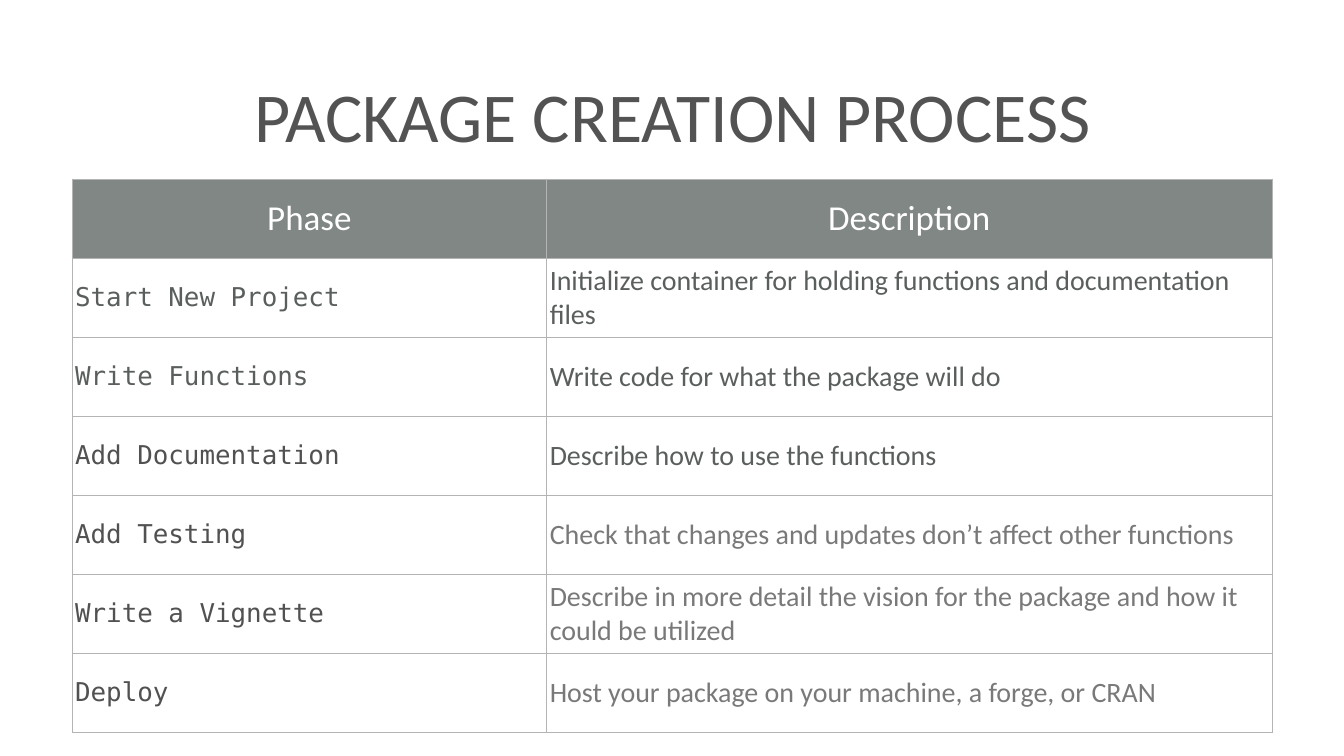
import pptx
import pptx.dml.color
import pptx.enum.text
import pptx.oxml
import pptx.oxml.ns
import pptx.util
from pptx.util import Inches

RGBColor = pptx.dml.color.RGBColor
TITLE_GRAY = RGBColor(0x53, 0x53, 0x53)
HEADER_GRAY = RGBColor(0x80, 0x87, 0x85)
WHITE = RGBColor(0xFF, 0xFF, 0xFF)
SLATE = RGBColor(0x5A, 0x5F, 0x5E)
DARK_GRAY = RGBColor(0x51, 0x51, 0x51)
MID_GRAY = RGBColor(0x79, 0x79, 0x79)
BORDER_GRAY = RGBColor(0xB4, 0xB4, 0xB4)
SANS = "Calibri"
MONO = "DejaVu Sans Mono"
MARGIN = Inches(0.06)
LEFT = pptx.enum.text.PP_ALIGN.LEFT
CENTER = pptx.enum.text.PP_ALIGN.CENTER
MIDDLE = pptx.enum.text.MSO_ANCHOR.MIDDLE

HEADINGS = ("Phase", "Description")
PHASES = [
    ("Start New Project", SLATE,
     "Initialize container for holding functions and documentation files", SLATE),
    ("Write Functions", SLATE, "Write code for what the package will do", SLATE),
    ("Add Documentation", DARK_GRAY, "Describe how to use the functions", SLATE),
    ("Add Testing", DARK_GRAY,
     "Check that changes and updates don’t affect other functions", MID_GRAY),
    ("Write a Vignette", DARK_GRAY,
     "Describe in more detail the vision for the package and how it could be utilized",
     MID_GRAY),
    ("Deploy", DARK_GRAY,
     "Host your package on your machine, a forge, or CRAN", MID_GRAY),
]


def format_paragraph(paragraph, size, name, color, alignment):
    """Align a paragraph and format its runs."""
    paragraph.alignment = alignment
    for run in paragraph.runs:
        run.font.size = pptx.util.Pt(size)
        run.font.name = name
        run.font.bold = False
        run.font.color.rgb = color


def set_margins(holder):
    """Give a cell or text frame the same small margin on every side."""
    holder.margin_left = holder.margin_right = MARGIN
    holder.margin_top = holder.margin_bottom = MARGIN
    holder.vertical_anchor = MIDDLE


def add_borders(cell):
    """Draw a thin line on each side of a cell."""
    properties = cell._tc.get_or_add_tcPr()
    for side in ("L", "R", "T", "B"):
        properties.append(pptx.oxml.parse_xml(
            f'<a:ln{side} {pptx.oxml.ns.nsdecls("a")} w="12700"><a:solidFill>'
            f'<a:srgbClr val="{BORDER_GRAY}"/></a:solidFill></a:ln{side}>'))


def fill_cell(cell, text, size, name, color, alignment=LEFT, background=None):
    """Write and format one table cell."""
    set_margins(cell)
    add_borders(cell)
    if background is None:
        cell.fill.background()
    else:
        cell.fill.solid()
        cell.fill.fore_color.rgb = background
    cell.text_frame.text = text
    format_paragraph(cell.text_frame.paragraphs[0], size, name, color, alignment)


def place_title(slide, left, top, width, height):
    """Place and format the slide title in the given box."""
    title = slide.shapes.title
    title.left, title.top, title.width, title.height = left, top, width, height
    frame = title.text_frame
    frame.text = "PACKAGE CREATION PROCESS"
    frame.word_wrap = True
    frame.auto_size = pptx.enum.text.MSO_AUTO_SIZE.NONE
    set_margins(frame)
    format_paragraph(frame.paragraphs[0], 100, SANS, TITLE_GRAY, CENTER)


def add_phase_table(slide, left, top, width, height):
    """Add the table of phases and descriptions in the given box."""
    row_count = len(PHASES) + 1
    table = slide.shapes.add_table(row_count, 2, left, top, width, height).table
    table.first_row = False
    table.horz_banding = False
    table.columns[0].width = Inches(9.42)
    table.columns[1].width = width - table.columns[0].width
    for row in table.rows:
        row.height = height // row_count
    for column, heading in enumerate(HEADINGS):
        fill_cell(table.cell(0, column), heading, 50, SANS, WHITE, CENTER, HEADER_GRAY)
    for row, (phase, phase_color, description, color) in enumerate(PHASES, start=1):
        fill_cell(table.cell(row, 0), phase, 37, MONO, phase_color)
        fill_cell(table.cell(row, 1), description, 40, SANS, color)


def main():
    """Build and save the presentation."""
    presentation = pptx.Presentation()
    presentation.slide_width = Inches(26.67)
    presentation.slide_height = Inches(15)
    slide = presentation.slides.add_slide(presentation.slide_layouts[5])
    slide.background.fill.solid()
    slide.background.fill.fore_color.rgb = WHITE
    place_title(slide, Inches(0.74), Inches(0.39), Inches(25.21), Inches(3.75))
    add_phase_table(slide, Inches(1.43), Inches(3.55), Inches(23.81), Inches(10.98))
    presentation.save("out.pptx")


if __name__ == "__main__":
    main()
